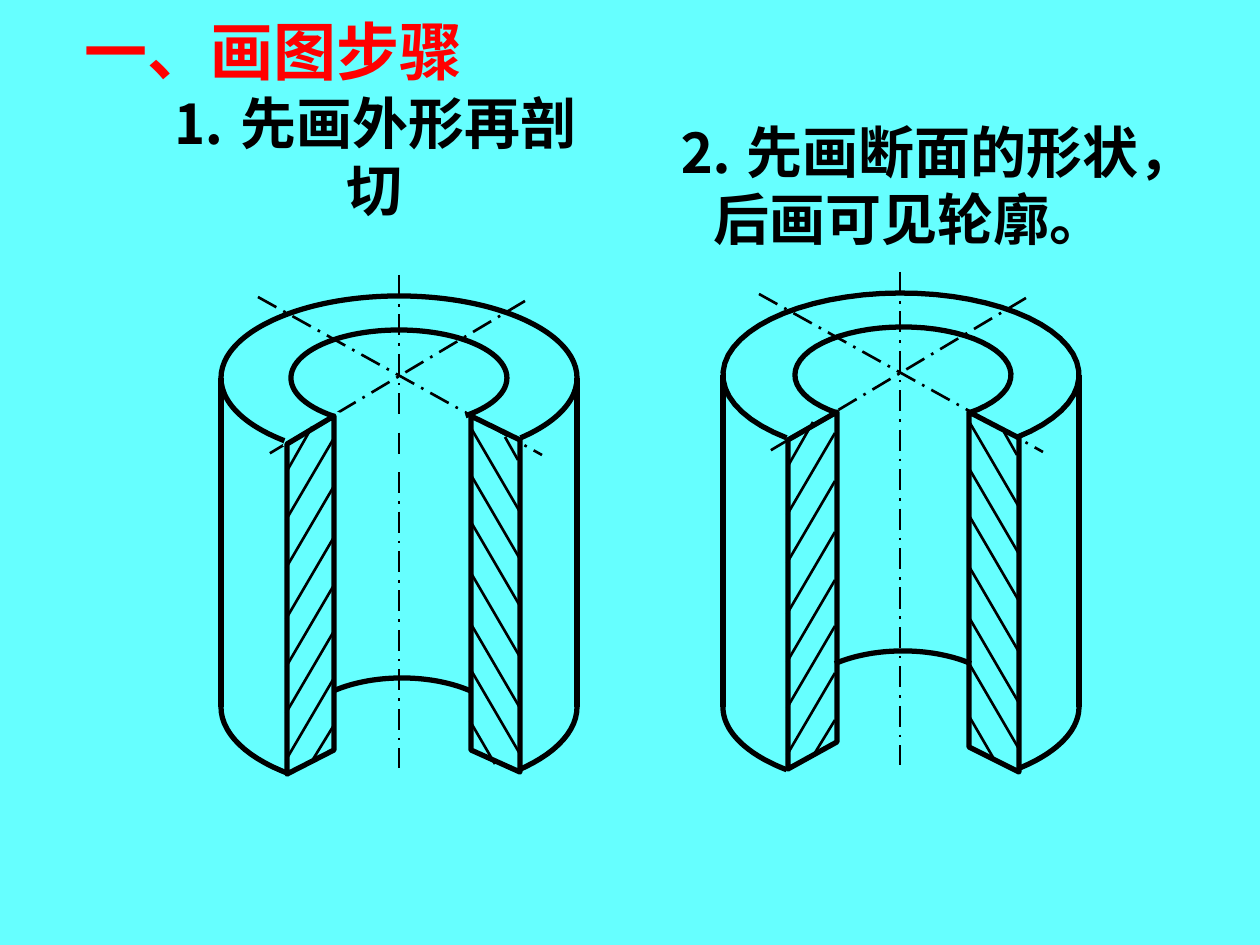
from math import cos, radians, sin

from lxml import etree
from pptx import Presentation
from pptx import util as u
from pptx.dml.color import RGBColor
from pptx.enum import dml, shapes, text
from pptx.oxml.ns import qn

PX = 914400 / 126
BLACK = RGBColor(0, 0, 0)
RED = RGBColor(255, 0, 0)
CYAN = RGBColor(0x66, 0xFF, 0xFF)
SANS = "Noto Sans CJK SC"
SERIF = "Times New Roman"

OUTER = (178, 82)
INNER = (108, 48)
FLOOR = (108, 57)
BASE = 707
LEFT_HATCH = [678, 631, 585, 537, 486, 438]
RIGHT_HATCH = [670, 624, 573, 522, 475, 428]
LEFT_ENDS = [(334, 725, 312, 761), (287, 471, 312, 427)]
RIGHT_ENDS = [(470, 721, 495, 764), (518, 460, 505, 437)]


def emu(n):
    return u.Emu(round(n * PX))


def ink(line, color, width):
    line.color.rgb = color
    line.width = u.Pt(width)


def draw_line(slide, x1, y1, x2, y2, width=3, dash=None):
    line = slide.shapes.add_connector(
        shapes.MSO_CONNECTOR.STRAIGHT, emu(x1), emu(y1), emu(x2), emu(y2))
    ink(line.line, BLACK, width)
    if dash:
        line.line.dash_style = dash
    etree.SubElement(line._element.spPr, qn("a:effectLst"))


def draw_path(slide, points, close=False, color=BLACK, width=3):
    first, *rest = [(emu(x), emu(y)) for x, y in points]
    pen = slide.shapes.build_freeform(*first)
    pen.add_line_segments(rest, close=close)
    path = pen.convert_to_shape()
    path.shadow.inherit = False
    path.fill.background()
    ink(path.line, color, width)


def draw_arc(slide, mid, radii, start, end, color=BLACK, width=3):
    steps = 48
    turns = [radians(start + (end - start) * i / steps) for i in range(steps + 1)]
    points = [(mid[0] + radii[0] * cos(t), mid[1] + radii[1] * sin(t)) for t in turns]
    draw_path(slide, points, color=color, width=width)


def draw_oval(slide, mid, radii):
    (x, y), (rx, ry) = mid, radii
    oval = slide.shapes.add_shape(
        shapes.MSO_SHAPE.OVAL, emu(x - rx), emu(y - ry), emu(2 * rx), emu(2 * ry))
    oval.shadow.inherit = False
    oval.fill.background()
    ink(oval.line, BLACK, 3)


def draw_axes(slide, dx=0, dy=0):
    for x1, y1, x2, y2 in [(258, 297, 542, 455), (525, 301, 267, 455), (399, 275, 399, 768)]:
        draw_line(slide, x1 + dx, y1 + dy, x2 + dx, y2 + dy, 1.5,
                  dml.MSO_LINE.LONG_DASH_DOT)


def draw_hatch(slide, rows, start, end, drop, ends, dx=0, dy=0):
    lines = [(start, y, end, y + drop) for y in rows] + ends
    for x1, y1, x2, y2 in lines:
        draw_line(slide, x1 + dx, y1 + dy, x2 + dx, y2 + dy, 1.5)


def draw_walls(slide, walls, dx=0, dy=0):
    draw_hatch(slide, LEFT_HATCH, 334, 286, 82, LEFT_ENDS, dx, dy)
    draw_hatch(slide, RIGHT_HATCH, 471, 520, 84, RIGHT_ENDS, dx and dx - 2, dy)
    for wall in walls:
        draw_path(slide, wall, close=True)


def draw_sides(slide, x, top):
    for side in (x - OUTER[0], x + OUTER[0]):
        draw_line(slide, side, top, side, BASE)


def draw_cut(slide):
    x, top = 399, 378
    base = (x, BASE)
    rim = (OUTER[0], 85)
    draw_sides(slide, x, top)
    draw_arc(slide, base, rim, 180, 0)
    draw_oval(slide, (x, top), INNER)
    draw_oval(slide, (x, top), OUTER)
    draw_axes(slide)
    draw_arc(slide, (x + 3, 735), FLOOR, 231, 309)
    draw_arc(slide, (x, top), INNER, 127, 52, CYAN, 6)
    draw_arc(slide, (x, top), OUTER, 130, 47, CYAN, 6)
    draw_arc(slide, base, rim, 128, 47, CYAN, 6)
    draw_walls(slide, [
        [(334, 416), (334, 750), (287, 774), (287, 444)],
        [(471, 416), (471, 750), (520, 772), (520, 440)]])


def draw_section(slide):
    x, top = 901, 375
    draw_axes(slide, 501, -3)
    draw_sides(slide, x, top)
    draw_arc(slide, (x + 2, 708), FLOOR, 231, 309)
    draw_arc(slide, (x + 2, top), INNER, 127, 412)
    draw_arc(slide, (x, top), OUTER, 130, 409)
    draw_arc(slide, (x, BASE), OUTER, 0, 48)
    draw_arc(slide, (x, BASE), OUTER, 180, 130)
    draw_walls(slide, [
        [(837, 412), (837, 742), (788, 769), (788, 440)],
        [(969, 412), (969, 747), (1019, 772), (1019, 438)]], 501, -5)


def add_text(slide, box, lines, size, face, color=BLACK, wrap=False, align=None):
    frame = slide.shapes.add_textbox(*map(emu, box)).text_frame
    frame.word_wrap = wrap
    frame.vertical_anchor = text.MSO_ANCHOR.MIDDLE
    for i, (words, indent) in enumerate(lines):
        para = frame.paragraphs[0] if i == 0 else frame.add_paragraph()
        para.alignment = align
        if indent:
            para._p.get_or_add_pPr().set("marL", str(emu(indent)))
        run = para.add_run()
        run.text = words
        font = run.font
        font.size = u.Pt(size)
        font.bold = True
        font.name = face
        font.color.rgb = color
        etree.SubElement(run._r.get_or_add_rPr(), qn("a:ea")).set("typeface", SANS)


def main():
    deck = Presentation()
    deck.slide_width, deck.slide_height = emu(1260), emu(945)
    slide = deck.slides.add_slide(deck.slide_layouts[6])
    slide.background.fill.solid()
    slide.background.fill.fore_color.rgb = CYAN
    draw_section(slide)
    draw_cut(slide)
    add_text(slide, (72, 6, 403, 88), [("一、画图步骤", 0)], 36, SERIF, RED)
    add_text(slide, (131, 115, 486, 81), [("⒈ 先画外形再剖切", 0)], 32, SANS,
             align=text.PP_ALIGN.CENTER)
    add_text(slide, (665, 111, 548, 147),
             [("⒉ 先画断面的形状，", 0), ("后画可见轮廓。", 36)], 32, SANS, wrap=True)
    deck.save("out.pptx")


if __name__ == "__main__":
    main()
